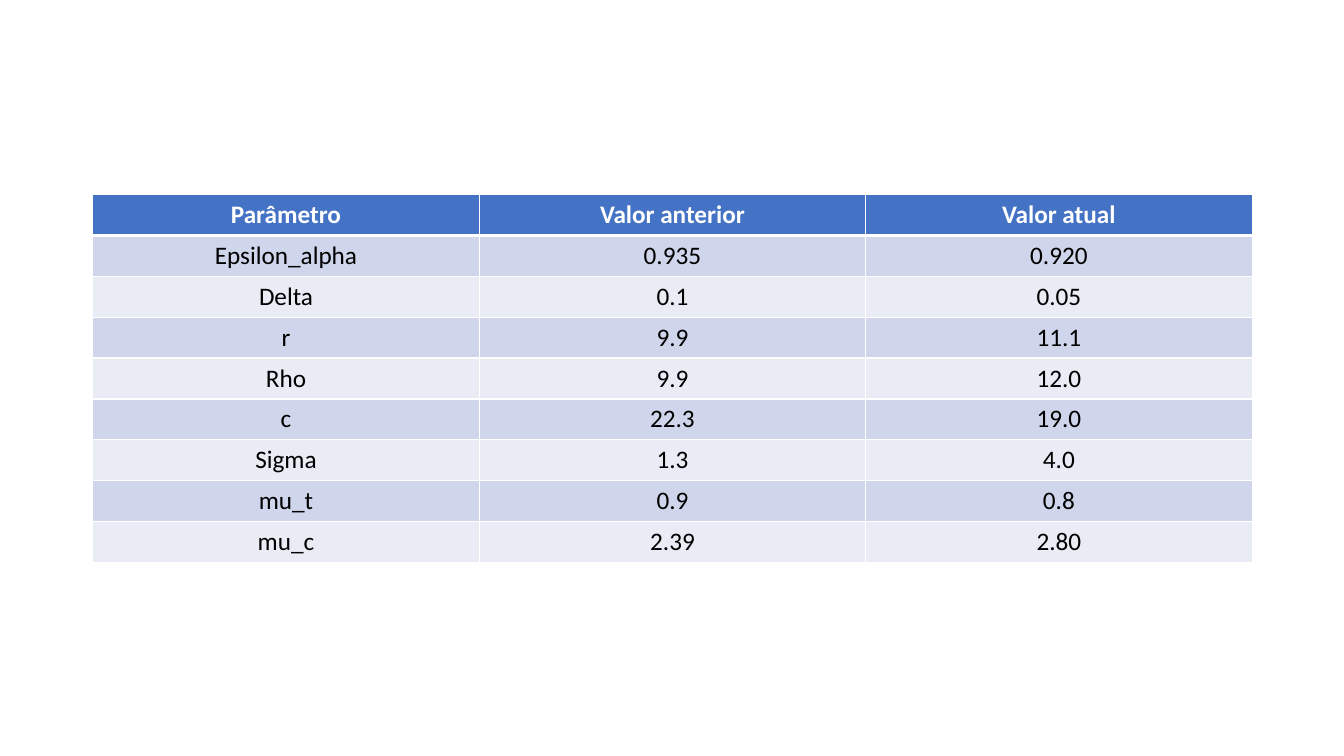
import pptx
import pptx.util
import pptx.oxml
import pptx.oxml.ns
import pptx.dml.color
import pptx.enum.text

Inches = pptx.util.Inches
Pt = pptx.util.Pt
RGB = pptx.dml.color.RGBColor

# Content
ROWS = [
    ("Parâmetro", "Valor anterior", "Valor atual"),
    ("Epsilon_alpha", "0.935", "0.920"),
    ("Delta", "0.1", "0.05"),
    ("r", "9.9", "11.1"),
    ("Rho", "9.9", "12.0"),
    ("c", "22.3", "19.0"),
    ("Sigma", "1.3", "4.0"),
    ("mu_t", "0.9", "0.8"),
    ("mu_c", "2.39", "2.80"),
]

# Style
WHITE = RGB(0xFF, 0xFF, 0xFF)
BLACK = RGB(0, 0, 0)
BLUE = RGB(0x44, 0x72, 0xC4)
BANDS = (RGB(0xE9, 0xEB, 0xF5), RGB(0xCF, 0xD5, 0xEA))
LEFT, TOP, WIDTH, HEIGHT = Inches(0.92), Inches(1.93), Inches(11.5), Inches(3.65)


def add_edge(cell, side, width):
    """Draw one white border; borders must come before the cell's fill."""
    edge = pptx.oxml.parse_xml(
        f'<a:ln{side} {pptx.oxml.ns.nsdecls("a")} w="{Pt(width)}">'
        f'<a:solidFill><a:srgbClr val="{WHITE}"/></a:solidFill></a:ln{side}>'
    )
    cell._tc.get_or_add_tcPr().append(edge)


def style_cell(cell, text, row):
    head = row == 0
    widths = {"L": 1, "R": 1, "T": 3 if row == 1 else 1, "B": 3 if head else 1}
    for side, width in widths.items():
        add_edge(cell, side, width)
    cell.fill.solid()
    cell.fill.fore_color.rgb = BLUE if head else BANDS[row % 2]
    cell.text = text
    para = cell.text_frame.paragraphs[0]
    para.alignment = pptx.enum.text.PP_ALIGN.CENTER
    para.font.name = "Calibri"
    para.font.size = Pt(18)
    para.font.bold = head
    para.font.color.rgb = WHITE if head else BLACK


# Slide
deck = pptx.Presentation()
deck.slide_width, deck.slide_height = Inches(13.33), Inches(7.5)
slide = deck.slides.add_slide(deck.slide_layouts[6])

# Parameter table, with equal rows and columns
table = slide.shapes.add_table(
    len(ROWS), len(ROWS[0]), LEFT, TOP, WIDTH, HEIGHT
).table
for row, texts in enumerate(ROWS):
    for col, text in enumerate(texts):
        style_cell(table.cell(row, col), text, row)

deck.save("out.pptx")
